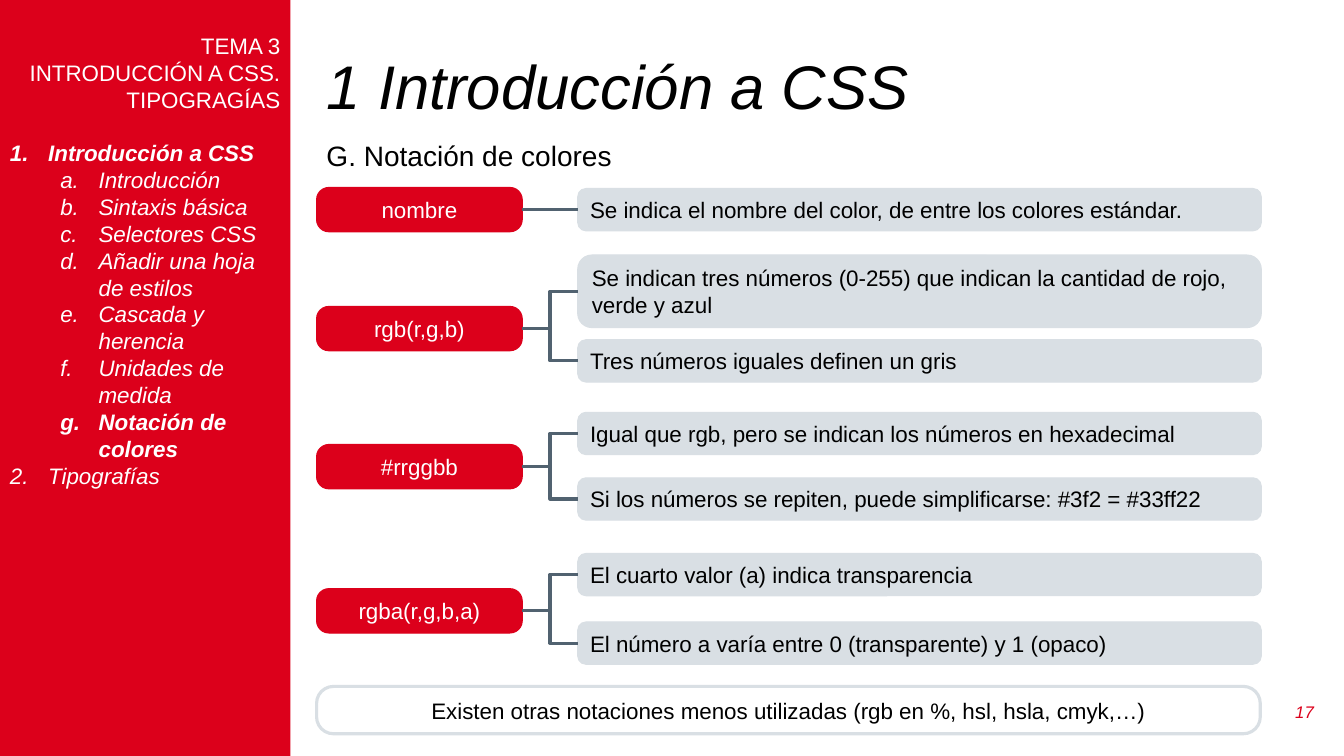
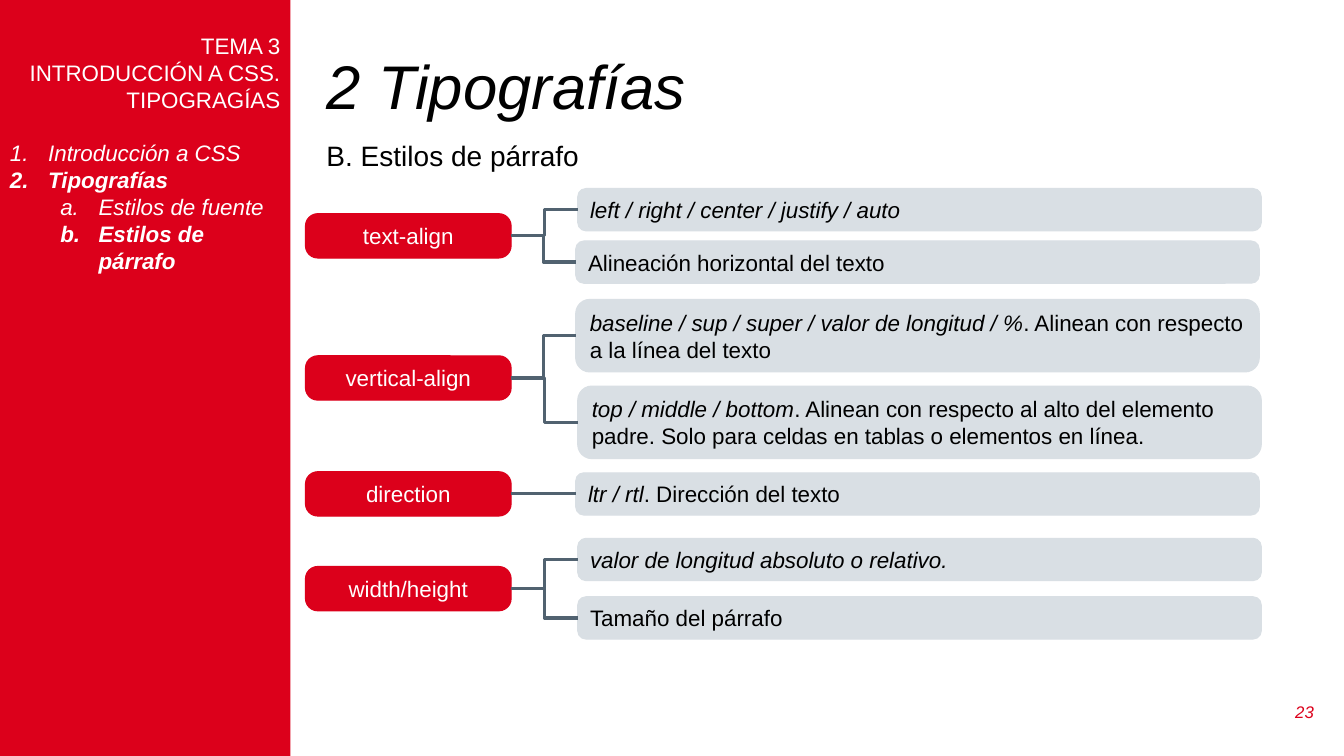
from dataclasses import dataclass

from lxml.etree import SubElement
from pptx import Presentation
from pptx.dml.color import RGBColor
from pptx.enum.shapes import MSO_CONNECTOR as Connector, MSO_SHAPE as Shape
from pptx.enum.text import MSO_ANCHOR as Anchor, MSO_AUTO_SIZE as AutoSize, PP_ALIGN as Align
from pptx.oxml.ns import qn
from pptx.util import Emu, Pt

EMU_PER_PX = 9144


@dataclass(frozen=True)
class Theme:
    font: str = "Arial"
    red: RGBColor = RGBColor(0xDC, 0x00, 0x1B)
    gray: RGBColor = RGBColor(0xD9, 0xDF, 0xE4)
    slate: RGBColor = RGBColor(0x51, 0x62, 0x70)
    black: RGBColor = RGBColor(0, 0, 0)
    white: RGBColor = RGBColor(0xFF, 0xFF, 0xFF)
    title: int = 44
    subtitle: int = 20
    body: int = 16
    number: int = 12
    hairline: float = 0.75
    stroke: float = 2.25


@dataclass(frozen=True)
class Box:
    x: int
    y: int
    w: int
    h: int


@dataclass(frozen=True)
class Entry:
    text: str
    level: int = 0
    bold: bool = False


@dataclass(frozen=True)
class Value:
    y: int
    text: str = ""
    code: str = ""
    x: int = 573
    h: int = 42


@dataclass(frozen=True)
class Branch:
    y: int
    label: str
    values: tuple[Value, ...]


@dataclass(frozen=True)
class Page:
    title: str
    subtitle: str
    number: str
    label_x: int
    outline: tuple[Entry, ...]
    branches: tuple[Branch, ...]
    note: str = ""


THEME = Theme()
SLIDE_W, SLIDE_H = 1333, 750
LABEL_W, LABEL_H, VALUE_W = 204, 44, 678
TITLE = Box(314, 50, 999, 78)
SIDEBAR = Box(0, 0, 288, SLIDE_H)
NUMBER = Box(1262, 686, 51, 40)
SUBTITLE = Box(314, 133, 746, 44)
NOTE = Box(314, 681, 936, 47)
COURSE = ("TEMA 3", "INTRODUCCIÓN A CSS. TIPOGRAGÍAS")

PAGES = (
    Page(
        "1 Introducción a CSS", "G. Notación de colores", "17", 314,
        (
            Entry("Introducción a CSS", bold=True),
            Entry("Introducción", 1),
            Entry("Sintaxis básica", 1),
            Entry("Selectores CSS", 1),
            Entry("Añadir una hoja de estilos", 1),
            Entry("Cascada y herencia", 1),
            Entry("Unidades de medida", 1),
            Entry("Notación de colores", 1, True),
            Entry("Tipografías"),
        ),
        (
            Branch(186, "nombre", (
                Value(187, "Se indica el nombre del color, de entre los colores estándar."),
            )),
            Branch(304, "rgb(r,g,b)", (
                Value(253, "Se indican tres números (0-255) que indican la cantidad de rojo, verde y azul", h=72),
                Value(337, "Tres números iguales definen un gris"),
            )),
            Branch(441, "#rrggbb", (
                Value(409, "Igual que rgb, pero se indican los números en hexadecimal"),
                Value(474, "Si los números se repiten, puede simplificarse: #3f2 = #33ff22"),
            )),
            Branch(584, "rgba(r,g,b,a)", (
                Value(549, "El cuarto valor (a) indica transparencia"),
                Value(617, "El número a varía entre 0 (transparente) y 1 (opaco)"),
            )),
        ),
        "Existen otras notaciones menos utilizadas (rgb en %, hsl, hsla, cmyk,…)",
    ),
    Page(
        "2 Tipografías", "B. Estilos de párrafo", "23", 303,
        (
            Entry("Introducción a CSS"),
            Entry("Tipografías", bold=True),
            Entry("Estilos de fuente", 1),
            Entry("Estilos de párrafo", 1, True),
        ),
        (
            Branch(212, "text-align", (
                Value(187, code="left / right / center / justify / auto"),
                Value(239, "Alineación horizontal del texto", x=571),
            )),
            Branch(353, "vertical-align", (
                Value(297, ". Alinean con respecto a la línea del texto",
                      "baseline / sup / super / valor de longitud / %", 571, 72),
                Value(383, ". Alinean con respecto al alto del elemento padre. "
                      "Solo para celdas en tablas o elementos en línea.",
                      "top / middle / bottom", h=72),
            )),
            Branch(468, "direction", (
                Value(469, ". Dirección del texto", "ltr / rtl", 571),
            )),
            Branch(562, "width/height", (
                Value(534, code="valor de longitud absoluto o relativo."),
                Value(592, "Tamaño del párrafo"),
            )),
        ),
    ),
)


def px(n: int) -> Emu:
    return Emu(n * EMU_PER_PX)


def area(box: Box) -> tuple[Emu, ...]:
    return px(box.x), px(box.y), px(box.w), px(box.h)


def add_run(p, text: str, size: int, color: RGBColor, italic: bool = False, bold: bool = False) -> None:
    r = p.add_run()
    r.text = text
    f = r.font
    f.name, f.size, f.italic, f.bold = THEME.font, Pt(size), italic, bold
    f.color.rgb = color


def setup_frame(sp, anchor: Anchor):
    tf = sp.text_frame
    tf.word_wrap = True
    tf.auto_size = AutoSize.NONE
    tf.vertical_anchor = anchor
    tf.margin_left = tf.margin_right = px(10)
    tf.margin_top = tf.margin_bottom = px(5)
    return tf


def add_shape(s, kind: Shape, box: Box, fill: RGBColor | None, line: RGBColor | None,
              weight: float = THEME.hairline, radius: float = 0):
    sp = s.shapes.add_shape(kind, *area(box))
    sp.shadow.inherit = False
    if radius:
        sp.adjustments[0] = radius
    if fill is None:
        sp.fill.background()
    else:
        sp.fill.solid()
        sp.fill.fore_color.rgb = fill
    if line is None:
        sp.line.fill.background()
    else:
        sp.line.color.rgb = line
        sp.line.width = Pt(weight)
    return sp


def add_title(s, text: str) -> None:
    sp = s.shapes.title
    sp.left, sp.top, sp.width, sp.height = area(TITLE)
    p = setup_frame(sp, Anchor.MIDDLE).paragraphs[0]
    p.alignment = Align.LEFT
    p.line_spacing = 0.9
    add_run(p, text, THEME.title, THEME.black, italic=True)


def add_text(s, box: Box, text: str, size: int, color: RGBColor, align: Align,
             anchor: Anchor, italic: bool = False) -> None:
    sp = s.shapes.add_textbox(*area(box))
    p = setup_frame(sp, anchor).paragraphs[0]
    p.alignment = align
    add_run(p, text, size, color, italic)


def number_paragraph(p, level: int) -> None:
    p.level = level
    pPr = p._p.get_or_add_pPr()
    pPr.set("marL", str(px(38 + 50 * level)))
    pPr.set("indent", str(-px(38)))
    clr = SubElement(pPr, qn("a:buClr"))
    SubElement(clr, qn("a:srgbClr")).set("val", str(THEME.white))
    SubElement(pPr, qn("a:buFont")).set("typeface", THEME.font)
    scheme = "alphaLcPeriod" if level else "arabicPeriod"
    SubElement(pPr, qn("a:buAutoNum")).set("type", scheme)


def add_sidebar(s, outline: tuple[Entry, ...]) -> None:
    sp = add_shape(s, Shape.RECTANGLE, SIDEBAR, THEME.red, None)
    tf = setup_frame(sp, Anchor.TOP)
    tf.margin_top = px(32)
    for i, line in enumerate(COURSE):
        p = tf.add_paragraph() if i else tf.paragraphs[0]
        p.alignment = Align.RIGHT
        add_run(p, line, THEME.body, THEME.white)
    for i, entry in enumerate(outline):
        p = tf.add_paragraph()
        p.alignment = Align.LEFT
        if i == 0:
            p.space_before = Pt(19)
        number_paragraph(p, entry.level)
        add_run(p, entry.text, THEME.body, THEME.white, italic=True, bold=entry.bold)


def add_label(s, x: int, branch: Branch):
    box = Box(x, branch.y, LABEL_W, LABEL_H)
    sp = add_shape(s, Shape.ROUNDED_RECTANGLE, box, THEME.red, THEME.red, radius=0.277)
    p = setup_frame(sp, Anchor.MIDDLE).paragraphs[0]
    p.alignment = Align.CENTER
    add_run(p, branch.label, THEME.body, THEME.white)
    return sp


def add_value(s, value: Value):
    box = Box(value.x, value.y, VALUE_W, value.h)
    sp = add_shape(s, Shape.ROUNDED_RECTANGLE, box, THEME.gray, THEME.gray, radius=0.195)
    p = setup_frame(sp, Anchor.MIDDLE).paragraphs[0]
    p.alignment = Align.LEFT
    for text, italic in ((value.code, True), (value.text, False)):
        if text:
            add_run(p, text, THEME.body, THEME.black, italic)
    return sp


def join(s, label, value) -> None:
    y1 = label.top + label.height // 2
    y2 = value.top + value.height // 2
    kind = Connector.STRAIGHT if y1 == y2 else Connector.ELBOW
    cxn = s.shapes.add_connector(kind, label.left + label.width, y1, value.left, y2)
    cxn.begin_connect(label, 3)
    cxn.end_connect(value, 1)
    cxn.line.color.rgb = THEME.slate
    cxn.line.width = Pt(THEME.stroke)
    SubElement(cxn._element.spPr, qn("a:effectLst"))


def add_note(s, text: str) -> None:
    sp = add_shape(s, Shape.ROUNDED_RECTANGLE, NOTE, None, THEME.gray, THEME.stroke, 0.357)
    p = setup_frame(sp, Anchor.MIDDLE).paragraphs[0]
    p.alignment = Align.CENTER
    add_run(p, text, THEME.body, THEME.black)


def add_page(prs, page: Page) -> None:
    s = prs.slides.add_slide(prs.slide_layouts[5])
    add_title(s, page.title)
    add_sidebar(s, page.outline)
    add_text(s, NUMBER, page.number, THEME.number, THEME.red, Align.RIGHT, Anchor.MIDDLE, True)
    add_text(s, SUBTITLE, page.subtitle, THEME.subtitle, THEME.black, Align.LEFT, Anchor.TOP)
    for branch in page.branches:
        label = add_label(s, page.label_x, branch)
        for value in branch.values:
            join(s, label, add_value(s, value))
    if page.note:
        add_note(s, page.note)


def main() -> None:
    prs = Presentation()
    prs.slide_width, prs.slide_height = px(SLIDE_W), px(SLIDE_H)
    for page in PAGES:
        add_page(prs, page)
    prs.save("out.pptx")


if __name__ == "__main__":
    main()
